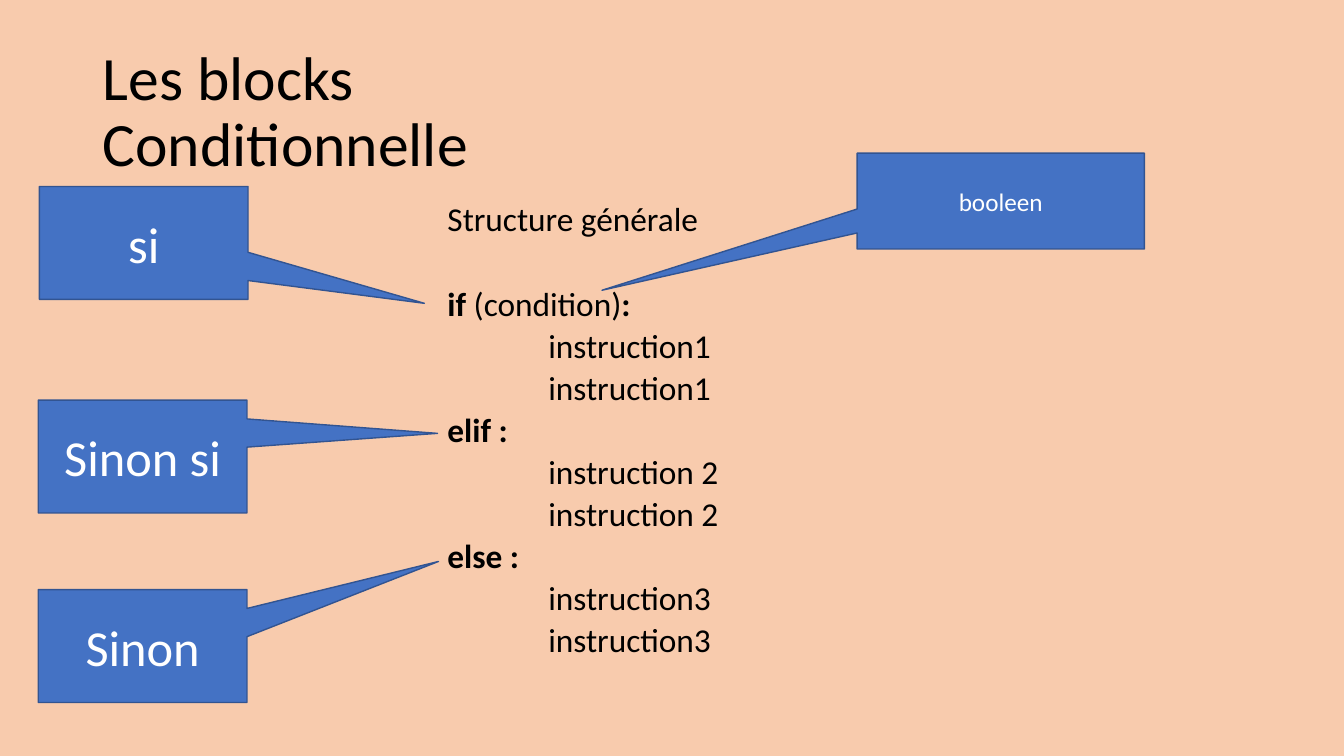
import pptx
import pptx.dml.color
import pptx.enum.shapes
import pptx.enum.text
import pptx.util

WIDTH, HEIGHT = 13.33, 7.5
COLORS = {"page": "F8CBAD", "ink": "000000", "callout": "4472C4",
          "edge": "325491", "label": "FFFFFF"}
FONT = "Calibri"
CODE_SIZE, CODE_SPACING, CODE_GAP = 23.8, 0.7, 10
EMPTY_ROW = 30
LABEL_WIDTH, LABEL_HEIGHT = 15.53, 14.93
BRANCHES = [
    ([("if", True), (" (condition)", False), (":", True)], "instruction1"),
    ([("elif :", True)], "instruction 2"),
    ([("else :", True)], "instruction3"),
]
LABELS = [
    ("si", (2.93, 24.67), (31.58, 40.13)),
    ("Sinon si", (2.85, 52.93), (32.56, 57.33)),
    ("Sinon", (2.85, 78), (32.63, 74.27)),
]


def color(name):
    return pptx.dml.color.RGBColor.from_string(COLORS[name])


def place(left, top, width, height):
    return [pptx.util.Inches(share * side / 100) for share, side in
            ((left, WIDTH), (top, HEIGHT), (width, WIDTH), (height, HEIGHT))]


def write(para, text, size, ink="ink", bold=False):
    for number, line in enumerate(text.split("\n")):
        if number:
            para.add_line_break()
        span = para.add_run()
        span.text = line
        span.font.name = FONT
        span.font.size = pptx.util.Pt(size)
        span.font.bold = bold
        span.font.color.rgb = color(ink)


def add_text_box(page, area, anchor):
    frame = page.shapes.add_textbox(*place(*area)).text_frame
    frame.word_wrap = True
    frame.vertical_anchor = anchor
    return frame


def add_title(page, text):
    frame = add_text_box(page, (6.9, 5.33, 86.27, 19.33),
                         pptx.enum.text.MSO_ANCHOR.MIDDLE)
    para = frame.paragraphs[0]
    para.line_spacing = 0.9
    write(para, text, size=44)


def add_code_line(para, spans, indent=0, gap=CODE_GAP):
    para.line_spacing = CODE_SPACING
    para.space_before = pptx.util.Pt(gap)
    para._p.get_or_add_pPr().set("marL", str(pptx.util.Inches(indent)))
    for text, bold in spans:
        write(para, text, size=CODE_SIZE, bold=bold)


def add_code(page, heading):
    frame = add_text_box(page, (32.56, 27.07, 34.88, 63.47),
                         pptx.enum.text.MSO_ANCHOR.TOP)
    add_code_line(frame.paragraphs[0], [(heading, False)])
    for number, (keyword, instruction) in enumerate(BRANCHES):
        gap = CODE_GAP if number else CODE_GAP + EMPTY_ROW
        add_code_line(frame.add_paragraph(), keyword, gap=gap)
        for _ in range(2):
            add_code_line(frame.add_paragraph(), [(instruction, False)], indent=1)


def add_callout(page, text, corner, tip, width=LABEL_WIDTH,
                height=LABEL_HEIGHT, size=36):
    kind = pptx.enum.shapes.MSO_SHAPE.RECTANGULAR_CALLOUT
    box = page.shapes.add_shape(kind, *place(*corner, width, height))
    box.shadow.inherit = False
    box.fill.solid()
    box.fill.fore_color.rgb = color("callout")
    box.line.color.rgb = color("edge")
    box.line.width = pptx.util.Pt(1)
    box.adjustments[0] = (tip[0] - corner[0]) / width - 0.5
    box.adjustments[1] = (tip[1] - corner[1]) / height - 0.5
    frame = box.text_frame
    frame.word_wrap = True
    frame.vertical_anchor = pptx.enum.text.MSO_ANCHOR.MIDDLE
    para = frame.paragraphs[0]
    para.alignment = pptx.enum.text.PP_ALIGN.CENTER
    write(para, text, size=size, ink="label")


def main():
    deck = pptx.Presentation()
    deck.slide_width = pptx.util.Inches(WIDTH)
    deck.slide_height = pptx.util.Inches(HEIGHT)
    page = deck.slides.add_slide(deck.slide_layouts[6])
    page.background.fill.solid()
    page.background.fill.fore_color.rgb = color("page")
    add_title(page, "Les blocks\nConditionnelle")
    add_code(page, "Structure générale")
    for text, corner, tip in LABELS:
        add_callout(page, text, corner, tip)
    add_callout(page, "booleen", (63.77, 20.27), (44.79, 38.4),
                width=21.38, height=12.67, size=18)
    deck.save("out.pptx")


main()
